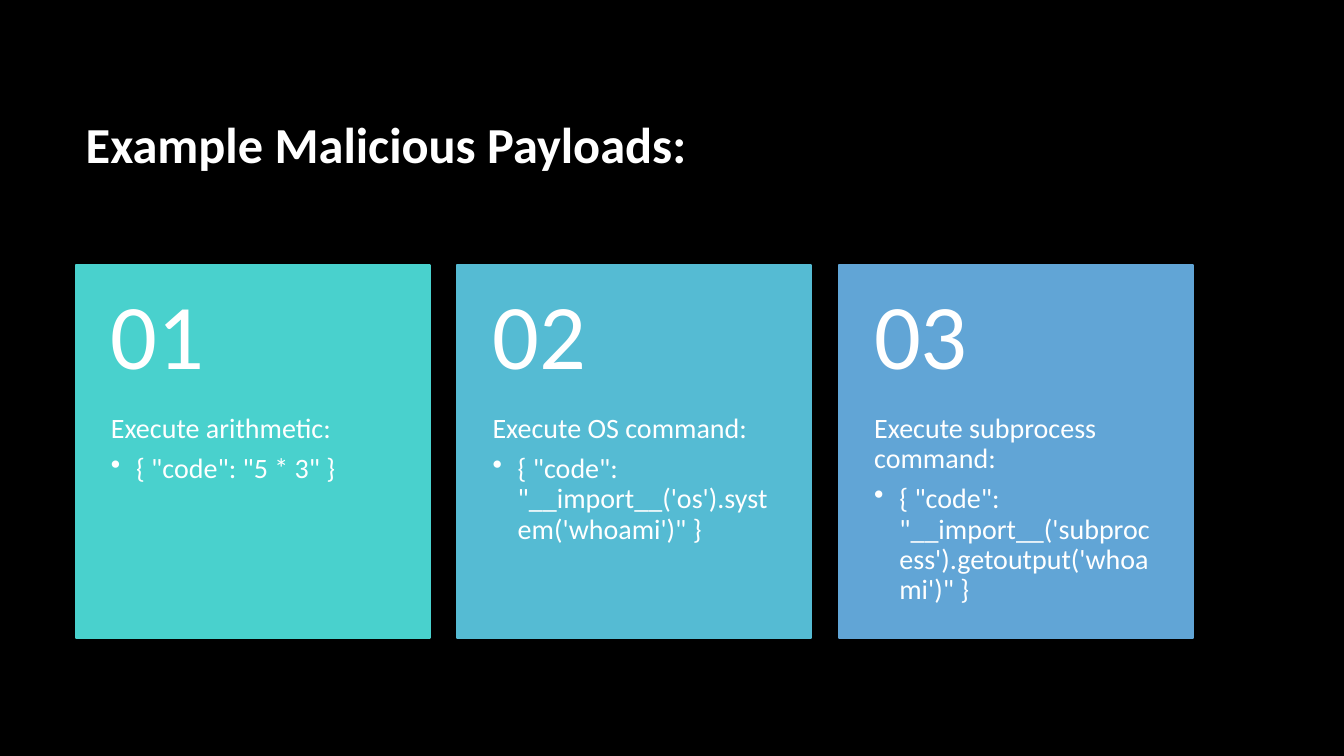
from lxml.etree import SubElement
from pptx import Presentation
from pptx.dml.color import RGBColor
from pptx.enum.shapes import MSO_SHAPE
from pptx.enum.text import MSO_ANCHOR, MSO_AUTO_SIZE, PP_ALIGN
from pptx.oxml.ns import qn
from pptx.util import Inches, Pt

COLORS = {"background": "000000", "text": "FFFFFF",
          "teal": "49D1CD", "cyan": "55BBD3", "blue": "61A5D6"}
LEFT, CONTENT_WIDTH = 0.75, 11.08
CARD_TOP, CARD_WIDTH, CARD_HEIGHT = 2.63, 3.51, 3.7
NUMBER_HEIGHT = 1.48

payloads = [
    ("teal", "Execute arithmetic:", '{ "code": "5 * 3" }'),
    ("cyan", "Execute OS command:",
     '{ "code": "__import__(\'os\').system(\'whoami\')" }'),
    ("blue", "Execute subprocess command:",
     '{ "code": "__import__(\'subprocess\').getoutput(\'whoami\')" }'),
]
pitch = (CONTENT_WIDTH - CARD_WIDTH) / (len(payloads) - 1)


def add_text_frame(left, top, height, margin_top, margin_bottom, anchor):
    box = slide.shapes.add_textbox(Inches(left), Inches(top),
                                   Inches(CARD_WIDTH), Inches(height))
    frame = box.text_frame
    frame.word_wrap = True
    frame.vertical_anchor = anchor
    frame.margin_left = frame.margin_right = Inches(0.35)
    frame.margin_top = Inches(margin_top)
    frame.margin_bottom = Inches(margin_bottom)
    return frame


def style_paragraph(paragraph, text, size, space_after):
    paragraph.text = text
    paragraph.alignment = PP_ALIGN.LEFT
    paragraph.line_spacing = 0.9
    paragraph.space_after = Pt(space_after)
    paragraph.font.size = Pt(size)
    paragraph.font.name = "Calibri"
    paragraph.font.color.rgb = RGBColor.from_string(COLORS["text"])


prs = Presentation()
prs.slide_width, prs.slide_height = Inches(13.33), Inches(7.5)
slide = prs.slides.add_slide(prs.slide_layouts[5])
slide.background.fill.solid()
slide.background.fill.fore_color.rgb = RGBColor.from_string(COLORS["background"])

# Title
title = slide.shapes.title
title.left, title.top = Inches(LEFT), Inches(0.67)
title.width, title.height = Inches(CONTENT_WIDTH), Inches(1.59)
title.text_frame.auto_size = MSO_AUTO_SIZE.NONE
title.text_frame.vertical_anchor = MSO_ANCHOR.MIDDLE
heading = title.text_frame.paragraphs[0]
style_paragraph(heading, "Example Malicious Payloads:", 36, 0)
heading.font.bold = True

# Numbered payload cards
for index, (color, action, code) in enumerate(payloads):
    left = LEFT + index * pitch
    card = slide.shapes.add_shape(MSO_SHAPE.RECTANGLE, Inches(left), Inches(CARD_TOP),
                                  Inches(CARD_WIDTH), Inches(CARD_HEIGHT))
    card.shadow.inherit = False
    card.fill.solid()
    card.fill.fore_color.rgb = RGBColor.from_string(COLORS[color])
    card.line.color.rgb = RGBColor.from_string(COLORS[color])
    card.line.width = Pt(1.5)

    # Action and its payload
    body = add_text_frame(left, CARD_TOP + NUMBER_HEIGHT, CARD_HEIGHT - NUMBER_HEIGHT,
                          0, 0.36, MSO_ANCHOR.TOP)
    style_paragraph(body.paragraphs[0], action, 20, 7)
    payload = body.add_paragraph()
    payload.level = 1
    properties = payload._p.get_or_add_pPr()
    properties.set("marL", str(Inches(0.25)))
    properties.set("indent", str(Inches(-0.25)))
    SubElement(properties, qn("a:buChar"), char="•")
    style_paragraph(payload, code, 20, 3)

    # Card number
    number = add_text_frame(left, CARD_TOP, NUMBER_HEIGHT, 0.18, 0.18, MSO_ANCHOR.MIDDLE)
    style_paragraph(number.paragraphs[0], f"{index + 1:02d}", 66, 0)

prs.save("out.pptx")
